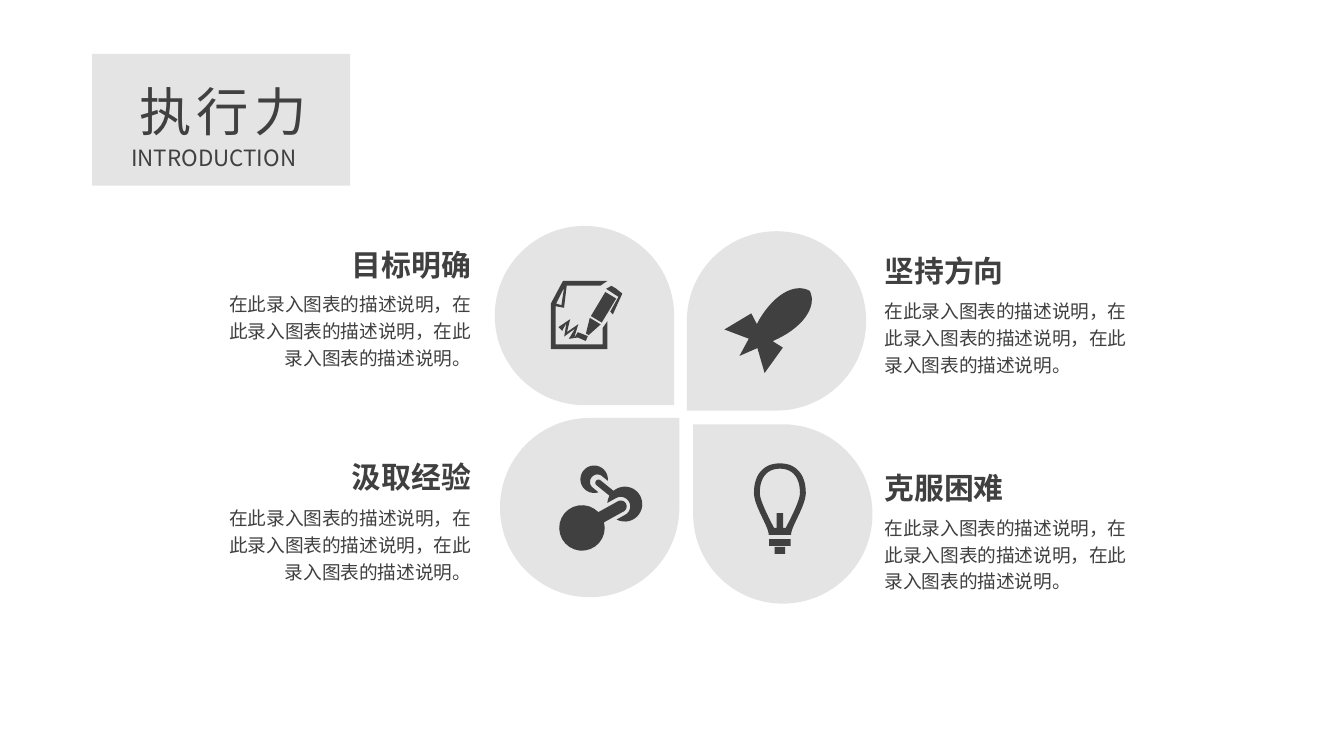
"""Builds the execution slide: four petals with icons, each with a heading and a description."""
import math

import pptx
import pptx.dml.color
import pptx.enum.shapes
import pptx.enum.text
import pptx.oxml
import pptx.oxml.ns
import pptx.util

Cm = pptx.util.Cm
SHAPES = pptx.enum.shapes.MSO_SHAPE
ALIGN = pptx.enum.text.PP_ALIGN

INK = pptx.dml.color.RGBColor(0x40, 0x40, 0x40)
PALE = pptx.dml.color.RGBColor(0xE4, 0xE4, 0xE4)
FONT = "Noto Sans CJK SC"

TITLE_PANEL = (1.74, 1.02, 4.88, 2.49)
TITLE = ("执行力", (2.44, 1.4, 7.29, 1.4), 28)
SUBTITLE = ("INTRODUCTION", (2.29, 2.62, 4.06, 0.71), 12)
DESCRIPTION = "在此录入图表的描述说明，" * 2 + "在此录入图表的描述说明。"

PETAL_SIZE = 3.39
LEFT_TEXT_END, RIGHT_TEXT_START = 9.09, 16.53
TOPICS = [
    {"heading": "目标明确", "side": "left", "petal": (9.35, 4.27), "turn": 90,
     "heading_top": 4.57, "heading_width": 3.81, "text_top": 5.36},
    {"heading": "坚持方向", "side": "right", "petal": (12.98, 4.37), "turn": 180,
     "heading_top": 4.67, "heading_width": 3.73, "text_top": 5.49},
    {"heading": "汲取经验", "side": "left", "petal": (9.45, 7.9), "turn": 0,
     "heading_top": 8.57, "heading_width": 4.55, "text_top": 9.4},
    {"heading": "克服困难", "side": "right", "petal": (13.1, 8.02), "turn": 270,
     "heading_top": 8.77, "heading_width": 3.71, "text_top": 9.58},
]

PAGE_ORIGIN, PAGE_WIDTH, PAGE_HEIGHT, PAGE_BORDER = (10.41, 5.31), 1.07, 1.29, 0.09
SCRIBBLE = [(0.18, 0.91), (0.33, 0.76), (0.28, 1.01), (0.49, 0.86), (0.39, 1.09),
            (0.51, 1.02), (0.68, 1.09)]
SCRIBBLE_HALF_WIDTH = 0.05
PEN_TIP, PEN_LEAN = (11.1, 6.32), 31
PEN_NIB = [(-0.03, 0), (0.03, 0), (0.12, -0.29), (-0.12, -0.29)]
PEN_BARREL = [(-0.12, -0.33), (0.12, -0.33), (0.12, -0.86), (-0.12, -0.86)]
PEN_CAP_AND_CLIP = [(-0.14, -0.92), (-0.08, -1.02), (0.02, -1.02), (0.17, -1),
                    (0.22, -0.57), (0.15, -0.59), (0.14, -0.91)]

ROCKET_CENTRE, ROCKET_LEAN = (14.64, 6.11), 47.3
ROCKET_HULL = [(0, -0.9), (0.33, -0.8), (0.42, -0.3), (0.22, 0.26)]
ROCKET_FIN = [(0.44, 0.2), (0.56, 0.78), (0.12, 0.56), (0, 0.91)]

ATOMS = {"small": ((11.23, 9.06), 0.26), "middle": ((11.81, 9.53), 0.33), "large": ((11, 9.98), 0.43)}
BONDS = [
    {"from": "middle", "to": "small", "half_width": 0.06, "reach": 0.64, "notch": 0.14, "depth": 0.08},
    {"from": "large", "to": "middle", "half_width": 0.11, "reach": 0.84, "notch": 0.18, "depth": 0.09},
]

BULB_TOP = (14.74, 8.76)
GLASS_DOME = [(0, 0), (0.3, 0), (0.49, 0.2), (0.49, 0.56)]
GLASS_NECK = [(0.49, 0.56), (0.49, 0.8), (0.21, 1.2), (0.21, 1.35)]
HOLLOW_DOME = [(0, 0.1), (0.25, 0.1), (0.38, 0.28), (0.38, 0.56)]
HOLLOW_NECK = [(0.38, 0.56), (0.38, 0.7), (0.2, 1.05), (0.11, 1.22)]
FILAMENT_EDGE = [(0.06, 1.22), (0.06, 0.94)]
BULB_BASE = [(1.43, 0.41), (1.58, 0.2)]
BASE_HEIGHT = 0.13


def place(points, origin, turn=0):
    cos, sin = math.cos(math.radians(turn)), math.sin(math.radians(turn))
    return [(origin[0] + x * cos - y * sin, origin[1] + x * sin + y * cos) for x, y in points]


def polar(centre, radius, angle):
    return centre[0] + radius * math.cos(angle), centre[1] + radius * math.sin(angle)


def arc(centre, radius, start, end, steps=24):
    return [polar(centre, radius, start + (end - start) * i / steps) for i in range(steps + 1)]


def curve(controls, steps=16):
    points = []
    for t in (i / steps for i in range(steps + 1)):
        weights = [math.comb(3, k) * t**k * (1 - t) ** (3 - k) for k in range(4)]
        points.append(tuple(sum(w * c[axis] for w, c in zip(weights, controls)) for axis in (0, 1)))
    return points


def mirrored(right_half):
    return right_half + [(-x, y) for x, y in reversed(right_half)]


def stroke(line, half_width):
    sides = [[], []]
    for i, (x, y) in enumerate(line):
        before, after = line[max(i - 1, 0)], line[min(i + 1, len(line) - 1)]
        along = math.atan2(after[1] - before[1], after[0] - before[0])
        for side, quarter in zip(sides, (math.pi / 2, -math.pi / 2)):
            side.append(polar((x, y), half_width, along + quarter))
    return sides[0] + sides[1][::-1]


def contract_outlines():
    w, h, b = PAGE_WIDTH, PAGE_HEIGHT, PAGE_BORDER
    outer_edge = [(w, 0.76), (w, h), (0, h), (0, 0.43), (0.23, 0), (w, 0)]
    inner_edge = [(w - 0.13, b), (0.3, b), (0.25, 0.51), (b, 0.48), (b, h - b), (w - b, h - b), (w - b, 0.89)]
    fold = [(0.25, 0.13), (0.1, 0.43), (0.2, 0.46)]
    page = [outer_edge + inner_edge, fold, stroke(SCRIBBLE, SCRIBBLE_HALF_WIDTH)]
    pen = [PEN_NIB, PEN_BARREL, PEN_CAP_AND_CLIP]
    return [place(part, PAGE_ORIGIN) for part in page] + [place(part, PEN_TIP, PEN_LEAN) for part in pen]


def atom_outline(name):
    centre, radius = ATOMS[name]
    links = []
    for bond in BONDS:
        if name not in (bond["from"], bond["to"]):
            continue
        outward = name == bond["from"]
        other = ATOMS[bond["to"] if outward else bond["from"]][0]
        angle = math.atan2(other[1] - centre[1], other[0] - centre[0]) % math.tau
        half_width, reach = (bond["half_width"], bond["reach"]) if outward else (bond["notch"], bond["depth"])
        links.append((angle, half_width, reach, math.pi if outward else -math.pi))
    links.sort()
    outline = []
    for i, (angle, half_width, reach, sweep) in enumerate(links):
        tip, start = polar(centre, reach, angle), angle - math.pi / 2
        outline += arc(tip, half_width, start, start + sweep)
        following = links[i + 1] if i + 1 < len(links) else (links[0][0] + math.tau, *links[0][1:])
        rim_start = angle + math.asin(half_width / radius)
        rim_end = following[0] - math.asin(following[1] / radius)
        outline += arc(centre, radius, rim_start, rim_end)
    return outline


def paint(shape, colour):
    shape.fill.solid()
    shape.fill.fore_color.rgb = colour
    shape.line.fill.background()
    shape.shadow.inherit = False


def add_preset(slide, kind, box, colour, turn=0):
    shape = slide.shapes.add_shape(kind, *map(Cm, box))
    shape.rotation = turn
    paint(shape, colour)


def add_icon(slide, outlines, turn=0):
    builder = None
    for outline in outlines:
        start, *rest = [(Cm(x), Cm(y)) for x, y in outline]
        if builder is None:
            builder = slide.shapes.build_freeform(*start)
        else:
            builder.move_to(*start)
        builder.add_line_segments(rest, close=True)
    icon = builder.convert_to_shape()
    icon.rotation = turn
    paint(icon, INK)


def add_text(slide, text, box, size, bold=False, align=ALIGN.LEFT, line_spacing=None, tracking=0):
    frame = slide.shapes.add_textbox(*map(Cm, box)).text_frame
    frame.word_wrap = True
    frame.auto_size = pptx.enum.text.MSO_AUTO_SIZE.SHAPE_TO_FIT_TEXT
    frame.margin_left = frame.margin_right = Cm(0.19)
    frame.margin_top = frame.margin_bottom = Cm(0.1)
    frame.text = text
    paragraph = frame.paragraphs[0]
    paragraph.alignment, paragraph.line_spacing = align, line_spacing
    font = paragraph.runs[0].font
    font.size, font.bold, font.name = pptx.util.Pt(size), bold, FONT
    font.color.rgb = INK
    east_asian = pptx.oxml.parse_xml(f'<a:ea {pptx.oxml.ns.nsdecls("a")} typeface="{FONT}"/>')
    font._element.find(pptx.oxml.ns.qn("a:latin")).addnext(east_asian)
    font._element.set("spc", str(tracking * 100))


def add_topic(slide, topic):
    add_preset(slide, SHAPES.TEAR, (*topic["petal"], PETAL_SIZE, PETAL_SIZE), PALE, topic["turn"])
    on_left = topic["side"] == "left"
    align = ALIGN.RIGHT if on_left else ALIGN.LEFT
    width, text_width = topic["heading_width"], 5.18 if on_left else 5.26
    left, text_left = [LEFT_TEXT_END - w if on_left else RIGHT_TEXT_START for w in (width, text_width)]
    add_text(slide, topic["heading"], (left, topic["heading_top"], width, 0.86), 16, True, align)
    add_text(slide, DESCRIPTION, (text_left, topic["text_top"], text_width, 1.73), 10, False, align, 1.2)


def main():
    deck = pptx.Presentation()
    deck.slide_width, deck.slide_height = Cm(25.4), Cm(14.29)
    slide = deck.slides.add_slide(deck.slide_layouts[6])
    add_preset(slide, SHAPES.RECTANGLE, TITLE_PANEL, PALE)
    add_text(slide, *TITLE, tracking=3)
    add_text(slide, *SUBTITLE)
    for topic in TOPICS:
        add_topic(slide, topic)
    add_icon(slide, contract_outlines())
    add_icon(slide, [place(mirrored(curve(ROCKET_HULL) + ROCKET_FIN), ROCKET_CENTRE)], ROCKET_LEAN)
    for name in ATOMS:
        add_icon(slide, [atom_outline(name)])
    glass = mirrored(curve(GLASS_DOME) + curve(GLASS_NECK))
    hollow = mirrored(curve(HOLLOW_DOME) + curve(HOLLOW_NECK) + FILAMENT_EDGE)
    add_icon(slide, [place(part, BULB_TOP) for part in (glass, hollow)])
    for drop, width in BULB_BASE:
        box = (BULB_TOP[0] - width / 2, BULB_TOP[1] + drop, width, BASE_HEIGHT)
        add_preset(slide, SHAPES.RECTANGLE, box, INK)
    deck.save("out.pptx")


if __name__ == "__main__":
    main()
